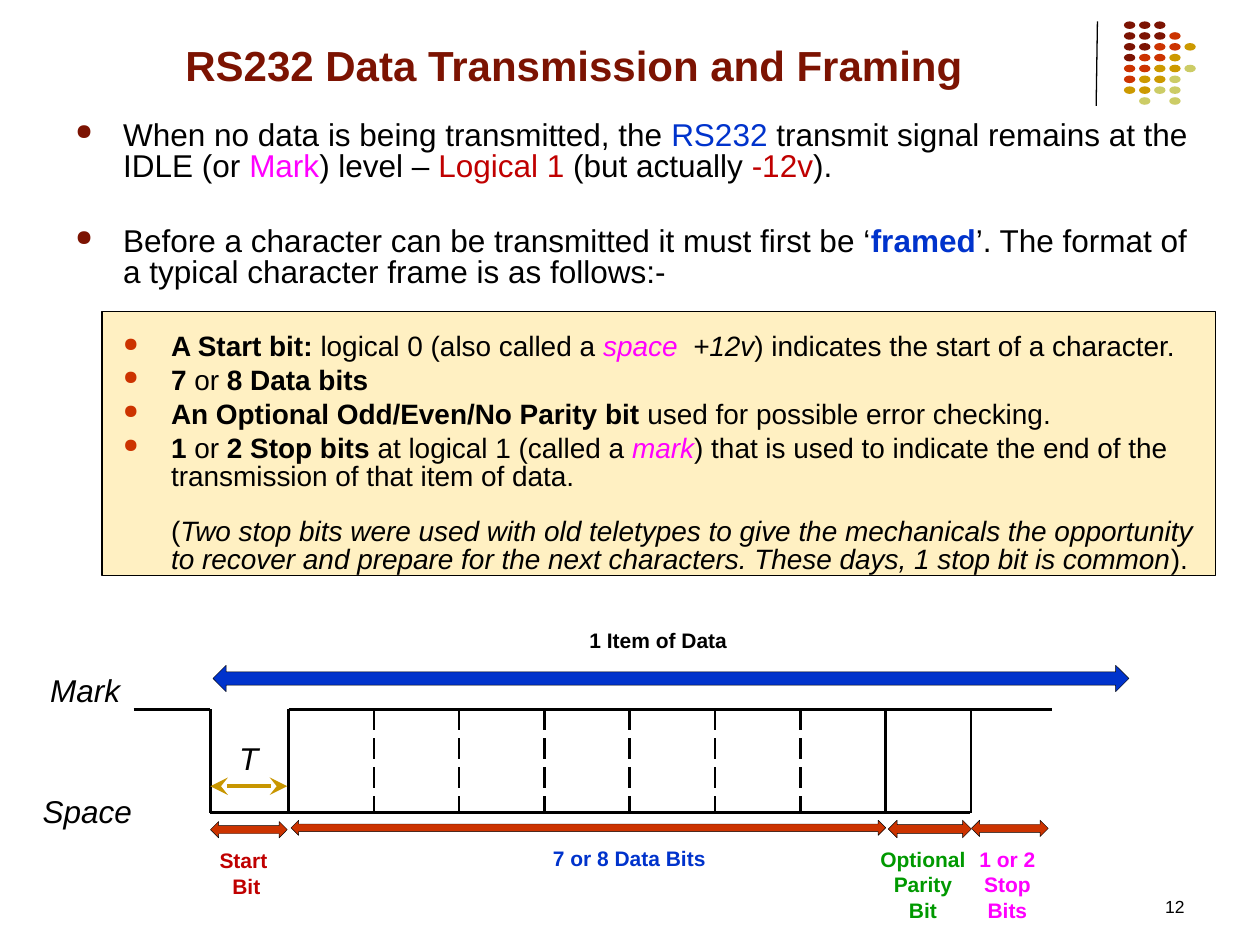
from dataclasses import dataclass
from typing import NamedTuple, Optional

from lxml.etree import SubElement
from pptx import Presentation
from pptx.dml.color import RGBColor
from pptx.enum.dml import MSO_LINE
from pptx.enum.shapes import MSO_CONNECTOR, MSO_SHAPE
from pptx.enum.text import MSO_ANCHOR, PP_ALIGN
from pptx.oxml.ns import qn
from pptx.util import Inches, Pt

BLACK = RGBColor(0x00, 0x00, 0x00)
MAROON = RGBColor(0x7C, 0x13, 0x02)
ORANGE = RGBColor(0xCC, 0x33, 0x00)
GOLD = RGBColor(0xCC, 0x99, 0x00)
OLIVE = RGBColor(0xCC, 0xCC, 0x66)
CREAM = RGBColor(0xFF, 0xF0, 0xC2)
BLUE = RGBColor(0x00, 0x33, 0xCC)
RED = RGBColor(0xC0, 0x00, 0x00)
MAGENTA = RGBColor(0xFF, 0x00, 0xFF)
GREEN = RGBColor(0x00, 0x99, 0x00)
AMBER = RGBColor(0xC8, 0x96, 0x00)

DOT_ROWS = ("MMM", "MMMO", "MMOOG", "MOOG", "OOGGL", "OGGL", "GGLL", " L L")
DOT_COLORS = {"M": MAROON, "O": ORANGE, "G": GOLD, "L": OLIVE}
MARK_Y, SPACE_Y = 5.63, 6.45
START_X, DATA_X, BIT_WIDTH = 1.67, 2.29, 0.677


class Box(NamedTuple):
    left: float
    top: float
    width: float
    height: float


class Run(NamedTuple):
    text: str
    color: RGBColor = BLACK
    bold: bool = False
    italic: bool = False


@dataclass
class Paragraph:
    runs: list[Run]
    size: float = 18
    indent: float = 0
    before: float = 0
    spacing: float = 1
    align: PP_ALIGN = PP_ALIGN.LEFT
    bullet: Optional[RGBColor] = None


class Label(NamedTuple):
    text: str
    box: Box
    size: float = 12
    color: RGBColor = BLACK
    bold: bool = True
    italic: bool = False
    align: PP_ALIGN = PP_ALIGN.CENTER
    anchor: MSO_ANCHOR = MSO_ANCHOR.TOP


class Span(NamedTuple):
    box: Box
    color: RGBColor = ORANGE


INTRO = dict(indent=0.38, spacing=0.84, bullet=MAROON)
DETAIL = dict(size=16, indent=0.76, spacing=0.84)
ITEM = dict(DETAIL, before=3.2, bullet=ORANGE)

BODY = [
    Paragraph([
        Run("When no data is being transmitted, the "), Run("RS232", BLUE),
        Run(" transmit signal remains at the IDLE (or "), Run("Mark", MAGENTA),
        Run(") level – "), Run("Logical 1", RED), Run(" (but actually "),
        Run("-12v", RED), Run(")."),
    ], **INTRO),
    Paragraph([
        Run("Before a character can be transmitted it must first be ‘"),
        Run("framed", BLUE, bold=True),
        Run("’. The format of a typical character frame is as follows:-"),
    ], before=24.3, **INTRO),
    Paragraph([
        Run("A Start bit:", bold=True), Run(" logical 0 (also called a "),
        Run("space", MAGENTA, italic=True), Run("  +12v", italic=True),
        Run(") indicates the start of a character."),
    ], **dict(ITEM, before=25)),
    Paragraph([Run("7 ", bold=True), Run("or"), Run(" 8 Data bits", bold=True)], **ITEM),
    Paragraph([
        Run("An Optional Odd/Even/No Parity bit ", bold=True),
        Run("used for possible error checking."),
    ], **ITEM),
    Paragraph([
        Run("1 ", bold=True), Run("or"), Run(" 2 Stop bits ", bold=True),
        Run("at logical 1 (called a "), Run("mark", MAGENTA, italic=True),
        Run(") that is used to indicate the end of the transmission of that item of data."),
    ], **ITEM),
    Paragraph([
        Run("("),
        Run("Two stop bits were used with old teletypes to give the mechanicals the "
            "opportunity to recover and prepare for the next characters. "
            "These days, 1 stop bit is common", italic=True),
        Run(")."),
    ], before=15.4, **DETAIL),
]

SIGNAL = dict(size=18, bold=False, italic=True, align=PP_ALIGN.LEFT)
LABELS = [
    Label("RS232 Data Transmission and Framing", Box(0.43, 0.21, 8.25, 0.55), 24, MAROON,
          anchor=MSO_ANCHOR.BOTTOM),
    Label("12", Box(7.17, 7.06, 2.33, 0.28), 10, bold=False, align=PP_ALIGN.RIGHT),
    Label("Mark", Box(0.3, 5.28, 1.08, 0.4), **SIGNAL),
    Label("Space", Box(0.24, 6.24, 1.08, 0.4), **SIGNAL),
    Label("T", Box(1.8, 5.82, 0.38, 0.4), **SIGNAL),
    Label("1 Item of Data", Box(4.46, 4.93, 1.53, 0.3)),
    Label("Start \nBit", Box(1.53, 6.68, 0.85, 0.51), color=RED),
    Label("7 or 8 Data Bits", Box(4.23, 6.66, 1.53, 0.3), color=BLUE),
    Label("Optional Parity\nBit", Box(6.87, 6.67, 0.91, 0.71), color=GREEN),
    Label("1 or 2 Stop\nBits", Box(7.57, 6.67, 0.85, 0.71), color=MAGENTA),
]
SPANS = [
    Span(Box(1.69, 5.28, 7.27, 0.21), BLUE),
    Span(Box(1.67, 6.52, 0.61, 0.13)),
    Span(Box(2.31, 6.51, 4.72, 0.12)),
    Span(Box(7.05, 6.51, 0.66, 0.14)),
    Span(Box(7.71, 6.51, 0.61, 0.13)),
]


def add_text(slide, box: Box, paragraphs: list[Paragraph], *, anchor=MSO_ANCHOR.TOP) -> None:
    frame = slide.shapes.add_textbox(*map(Inches, box)).text_frame
    frame.word_wrap = True
    frame.vertical_anchor = anchor
    for index, content in enumerate(paragraphs):
        paragraph = frame.add_paragraph() if index else frame.paragraphs[0]
        paragraph.alignment = content.align
        paragraph.line_spacing = content.spacing
        paragraph.space_before = Pt(content.before)
        properties = paragraph._p.get_or_add_pPr()
        properties.set("marL", str(Inches(content.indent)))
        if content.bullet is not None:
            properties.set("indent", str(Inches(-0.38)))
            tint = SubElement(properties, qn("a:buClr"))
            SubElement(tint, qn("a:srgbClr"), val=str(content.bullet))
            SubElement(properties, qn("a:buSzPct"), val="70000")
            SubElement(properties, qn("a:buChar"), char="●")
        for part in content.runs:
            for row, words in enumerate(part.text.split("\n")):
                if row:
                    paragraph.add_line_break()
                run = paragraph.add_run()
                run.text = words
                run.font.name, run.font.size = "Arial", Pt(content.size)
                run.font.bold, run.font.italic = part.bold, part.italic
                run.font.color.rgb = part.color


def add_shape(slide, kind: MSO_SHAPE, box: Box, fill: RGBColor, border: float = 0) -> None:
    shape = slide.shapes.add_shape(kind, *map(Inches, box))
    shape.shadow.inherit = False
    shape.fill.solid()
    shape.fill.fore_color.rgb = fill
    if border:
        shape.line.color.rgb, shape.line.width = BLACK, Pt(border)
    else:
        shape.line.fill.background()


def add_line(slide, x1: float, y1: float, x2: float, y2: float, *, width: float = 1.5,
             color: RGBColor = BLACK, dashed: bool = False, arrows: bool = False) -> None:
    line = slide.shapes.add_connector(MSO_CONNECTOR.STRAIGHT, *map(Inches, (x1, y1, x2, y2)))
    line.line.color.rgb, line.line.width = color, Pt(width)
    if dashed:
        line.line.dash_style = MSO_LINE.LONG_DASH
    if arrows:
        for end in ("a:headEnd", "a:tailEnd"):
            SubElement(line.line._get_or_add_ln(), qn(end), type="stealth", w="lg", len="lg")
    SubElement(line._element.spPr, qn("a:effectLst"))


def main() -> None:
    """Build the slide on RS232 data transmission and framing."""
    deck = Presentation()
    deck.slide_width, deck.slide_height = Inches(10), Inches(7.5)
    slide = deck.slides.add_slide(deck.slide_layouts[6])
    add_line(slide, 8.71, 0.17, 8.7, 0.84, width=0.75)
    for row, dots in enumerate(DOT_ROWS):
        for column, dot in enumerate(dots):
            if dot in DOT_COLORS:
                place = Box(8.92 + 0.12 * column, 0.17 + 0.086 * row, 0.09, 0.06)
                add_shape(slide, MSO_SHAPE.OVAL, place, DOT_COLORS[dot])
    add_shape(slide, MSO_SHAPE.RECTANGLE, Box(0.81, 2.47, 8.84, 2.1), CREAM, 0.75)
    add_text(slide, Box(0.5, 0.91, 9.17, 3.73), BODY)
    add_line(slide, 1.06, MARK_Y, START_X, MARK_Y)
    add_line(slide, DATA_X, MARK_Y, 8.35, MARK_Y)
    add_line(slide, START_X, SPACE_Y, 7.7, SPACE_Y)
    add_line(slide, START_X, MARK_Y, START_X, SPACE_Y)
    for bit in range(9):
        edge = DATA_X + BIT_WIDTH * bit
        add_line(slide, edge, MARK_Y, edge, SPACE_Y, dashed=0 < bit < 7)
    for span in SPANS:
        add_shape(slide, MSO_SHAPE.LEFT_RIGHT_ARROW, span.box, span.color, 0.25)
    add_line(slide, START_X, 6.24, 2.28, 6.24, width=2, color=AMBER, arrows=True)
    for label in LABELS:
        run = Run(label.text, label.color, label.bold, label.italic)
        add_text(slide, label.box, [Paragraph([run], label.size, align=label.align)],
                 anchor=label.anchor)
    deck.save("out.pptx")


if __name__ == "__main__":
    main()
